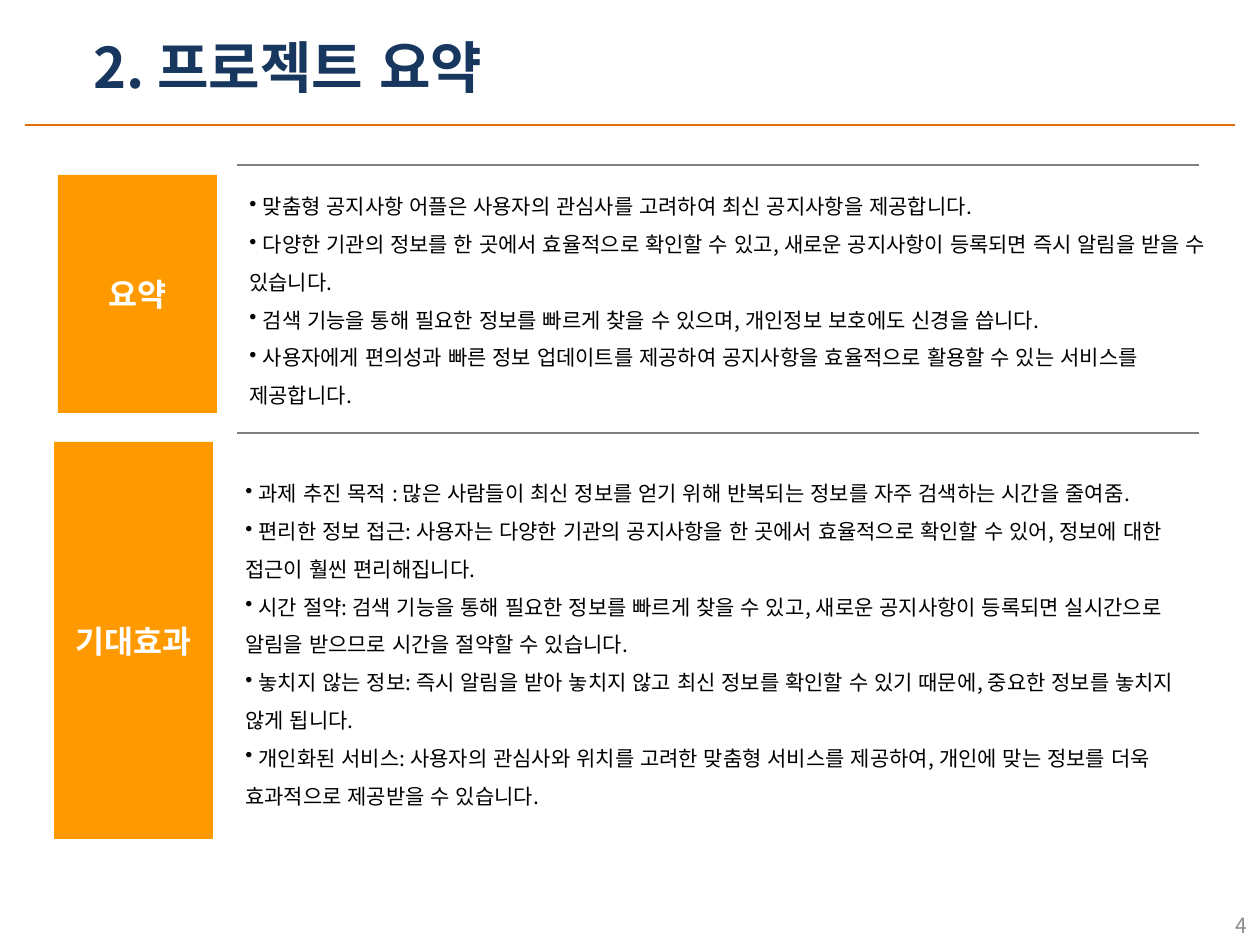
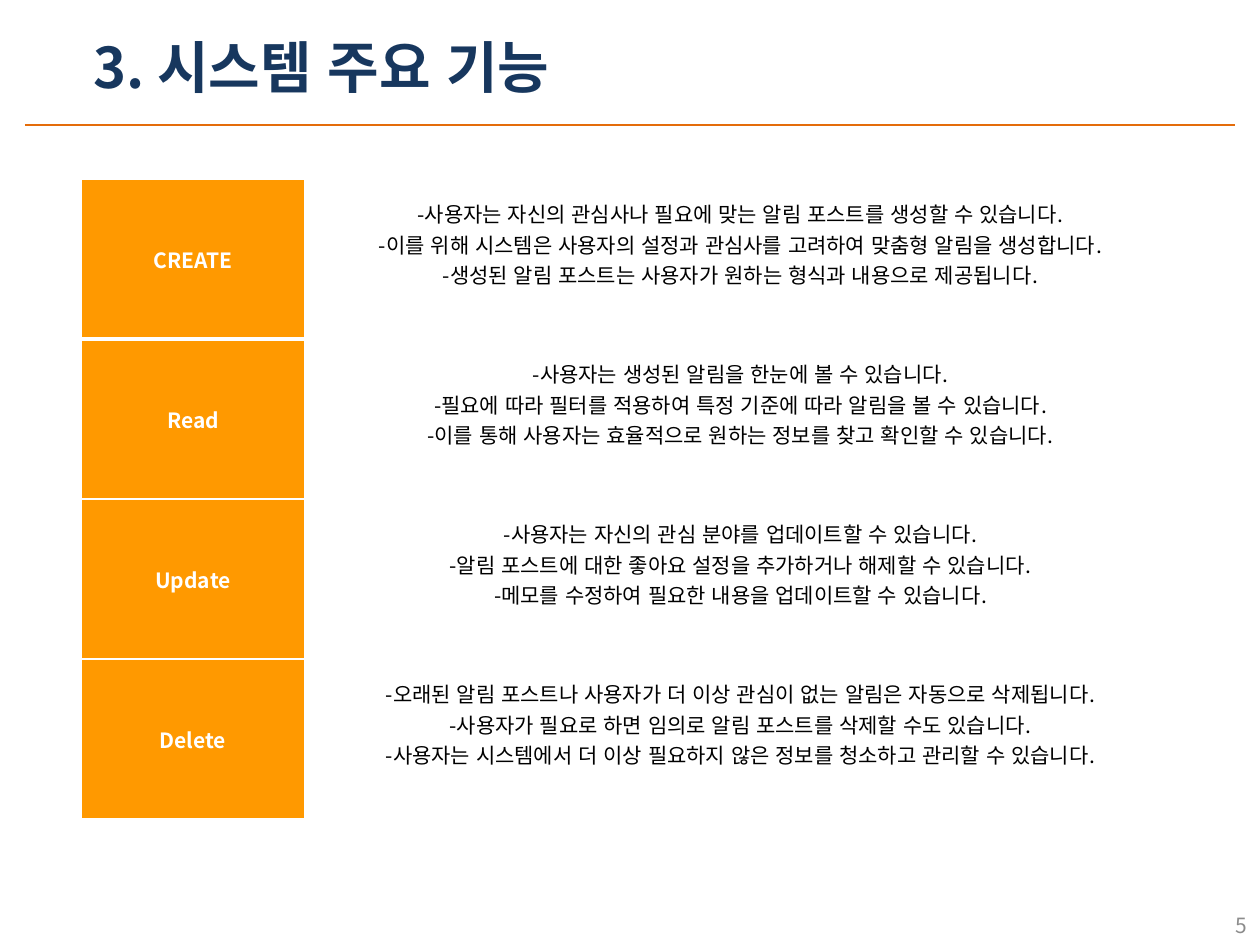
from lxml.etree import SubElement
from pptx import Presentation
from pptx.dml.color import RGBColor
from pptx.enum.lang import MSO_LANGUAGE_ID
from pptx.enum.shapes import MSO_CONNECTOR, MSO_SHAPE
from pptx.enum.text import MSO_ANCHOR, MSO_AUTO_SIZE, PP_ALIGN
from pptx.oxml.ns import qn
from pptx.util import Emu, Pt

FONT = "Noto Sans CJK KR"
COLORS = {
    "title": "17375E", "rule": "E46C0A", "label": "FF9900", "divider": "808080",
    "number": "8C8C8C", "text": "000000", "white": "FFFFFF",
}
PX_PER_INCH = 126
SLIDE_W, SLIDE_H = 1260, 945
LINE_H = 30

SUMMARY = {
    "title": "2. 프로젝트 요약", "title_w": 452, "number": "4",
    "dividers": (165, 433),
    "sections": [
        {"label": "요약", "box": (58, 175, 159, 238), "body": (237, 175, 999, 237),
         "points": [
             "맞춤형 공지사항 어플은 사용자의 관심사를 고려하여 최신 공지사항을 제공합니다.",
             "다양한 기관의 정보를 한 곳에서 효율적으로 확인할 수 있고, 새로운 공지사항이 등록되면 즉시 알림을 받을 수 있습니다.",
             "검색 기능을 통해 필요한 정보를 빠르게 찾을 수 있으며, 개인정보 보호에도 신경을 씁니다.",
             "사용자에게 편의성과 빠른 정보 업데이트를 제공하여 공지사항을 효율적으로 활용할 수 있는 서비스를 제공합니다.",
         ]},
        {"label": "기대효과", "box": (54, 442, 159, 397), "body": (233, 462, 997, 352),
         "points": [
             "과제 추진 목적 : 많은 사람들이 최신 정보를 얻기 위해 반복되는 정보를 자주 검색하는 시간을 줄여줌.",
             "편리한 정보 접근: 사용자는 다양한 기관의 공지사항을 한 곳에서 효율적으로 확인할 수 있어, 정보에 대한 접근이 훨씬 편리해집니다.",
             "시간 절약: 검색 기능을 통해 필요한 정보를 빠르게 찾을 수 있고, 새로운 공지사항이 등록되면 실시간으로 알림을 받으므로 시간을 절약할 수 있습니다.",
             "놓치지 않는 정보: 즉시 알림을 받아 놓치지 않고 최신 정보를 확인할 수 있기 때문에, 중요한 정보를 놓치지 않게 됩니다.",
             "개인화된 서비스: 사용자의 관심사와 위치를 고려한 맞춤형 서비스를 제공하여, 개인에 맞는 정보를 더욱 효과적으로 제공받을 수 있습니다.",
         ]},
    ],
}

FEATURES = {
    "title": "3. 시스템 주요 기능", "title_w": 528, "number": "5",
    "table": (81, 179), "cols": (224, 871), "row_h": 160,
    "rows": [
        ("CREATE", [
            "-사용자는 자신의 관심사나 필요에 맞는 알림 포스트를 생성할 수 있습니다.",
            "-이를 위해 시스템은 사용자의 설정과 관심사를 고려하여 맞춤형 알림을 생성합니다.",
            "-생성된 알림 포스트는 사용자가 원하는 형식과 내용으로 제공됩니다."]),
        ("Read", [
            "-사용자는 생성된 알림을 한눈에 볼 수 있습니다.",
            "-필요에 따라 필터를 적용하여 특정 기준에 따라 알림을 볼 수 있습니다.",
            "-이를 통해 사용자는 효율적으로 원하는 정보를 찾고 확인할 수 있습니다."]),
        ("Update", [
            "-사용자는 자신의 관심 분야를 업데이트할 수 있습니다.",
            "-알림 포스트에 대한 좋아요 설정을 추가하거나 해제할 수 있습니다.",
            "-메모를 수정하여 필요한 내용을 업데이트할 수 있습니다."]),
        ("Delete", [
            "-오래된 알림 포스트나 사용자가 더 이상 관심이 없는 알림은 자동으로 삭제됩니다.",
            "-사용자가 필요로 하면 임의로 알림 포스트를 삭제할 수도 있습니다.",
            "-사용자는 시스템에서 더 이상 필요하지 않은 정보를 청소하고 관리할 수 있습니다."]),
    ],
}


def px(*lengths):
    emus = [Emu(round(n * 914400 / PX_PER_INCH)) for n in lengths]
    return emus if len(emus) > 1 else emus[0]


def rgb(name):
    return RGBColor.from_string(COLORS[name])


def write(tf, lines, size=12, color="text", bold=False, align=PP_ALIGN.LEFT,
          spacing=None, bullet=None):
    """Fill a text frame with one paragraph per line."""
    for i, line in enumerate(lines):
        p = tf.add_paragraph() if i else tf.paragraphs[0]
        p.alignment = align
        if spacing:
            p.line_spacing = spacing
        if bullet:
            pPr = p._p.get_or_add_pPr()
            pPr.set("marL", "0")
            pPr.set("indent", "0")
            SubElement(pPr, qn("a:buChar"), char=bullet)
            line = " " + line
        r = p.add_run()
        r.text = line
        r.font.name, r.font.size, r.font.bold = FONT, Pt(size), bold
        r.font.color.rgb = rgb(color)
        r.font.language_id = MSO_LANGUAGE_ID.KOREAN
        SubElement(r._r.get_or_add_rPr(), qn("a:ea"), typeface=FONT)


def add_text(s, box, lines, wrap=True, grow=False, anchor=MSO_ANCHOR.TOP, **fmt):
    tf = s.shapes.add_textbox(*px(*box)).text_frame
    tf.word_wrap = wrap
    tf.vertical_anchor = anchor
    tf.auto_size = MSO_AUTO_SIZE.SHAPE_TO_FIT_TEXT if grow else MSO_AUTO_SIZE.NONE
    write(tf, lines, **fmt)


def add_rule(s, x1, x2, y, color, width):
    line = s.shapes.add_connector(MSO_CONNECTOR.STRAIGHT, *px(x1, y, x2, y))
    line.line.color.rgb = rgb(color)
    line.line.width = Pt(width)
    SubElement(line._element.spPr, qn("a:effectLst"))


def add_label(s, box, text):
    sp = s.shapes.add_shape(MSO_SHAPE.RECTANGLE, *px(*box))
    sp.shadow.inherit = False
    sp.fill.solid()
    sp.fill.fore_color.rgb = rgb("label")
    sp.line.fill.background()
    sp.text_frame.word_wrap = True
    sp.text_frame.vertical_anchor = MSO_ANCHOR.MIDDLE
    write(sp.text_frame, [text], size=18, color="white", bold=True,
          align=PP_ALIGN.CENTER)


def start_slide(prs, content):
    """Add a slide with the shared rule, title and page number."""
    s = prs.slides.add_slide(prs.slide_layouts[6])
    add_rule(s, 25, SLIDE_W - 25, 125, "rule", 1.5)
    add_text(s, (81, 26, content["title_w"], 81), [content["title"]],
             wrap=False, grow=True, size=32, color="title", bold=True)
    add_text(s, (966, 908, 294, 34), [content["number"]], color="number",
             anchor=MSO_ANCHOR.MIDDLE, align=PP_ALIGN.RIGHT)
    return s


def style_cell(cell, fill, top, bottom):
    """Set the borders (widths in points), then the fill."""
    tcPr = cell._tc.get_or_add_tcPr()
    for side, width in (("L", 1), ("R", 1), ("T", top), ("B", bottom)):
        ln = SubElement(tcPr, qn(f"a:ln{side}"), w=str(Pt(width)))
        SubElement(SubElement(ln, qn("a:solidFill")), qn("a:srgbClr"),
                   val=COLORS["white"])
    cell.fill.solid()
    cell.fill.fore_color.rgb = rgb(fill)
    cell.vertical_anchor = MSO_ANCHOR.MIDDLE


def build_summary(prs):
    s = start_slide(prs, SUMMARY)
    for y in SUMMARY["dividers"]:
        add_rule(s, 237, 1199, y, "divider", 1)
    for section in SUMMARY["sections"]:
        add_label(s, section["box"], section["label"])
        add_text(s, section["body"], section["points"], grow=True,
                 spacing=1.5, bullet="•")


def build_features(prs):
    s = start_slide(prs, FEATURES)
    rows, cols, row_h = FEATURES["rows"], FEATURES["cols"], FEATURES["row_h"]
    table = s.shapes.add_table(len(rows), len(cols), *px(
        *FEATURES["table"], sum(cols), row_h * len(rows))).table
    for col, width in zip(table.columns, cols):
        col.width = px(width)
    for i, (name, details) in enumerate(rows):
        table.rows[i].height = px(row_h)
        label, detail = table.cell(i, 0), table.cell(i, 1)
        for cell, fill in ((label, "label"), (detail, "white")):
            style_cell(cell, fill, top=3 if i == 1 else 1, bottom=3 if i == 0 else 1)
        write(label.text_frame, [name], color="white", bold=True,
              align=PP_ALIGN.CENTER)
        write(detail.text_frame, details, align=PP_ALIGN.CENTER)
        detail.margin_bottom = px(6 + LINE_H)


def main():
    prs = Presentation()
    prs.slide_width, prs.slide_height = px(SLIDE_W, SLIDE_H)
    build_summary(prs)
    build_features(prs)
    prs.save("out.pptx")


if __name__ == "__main__":
    main()
